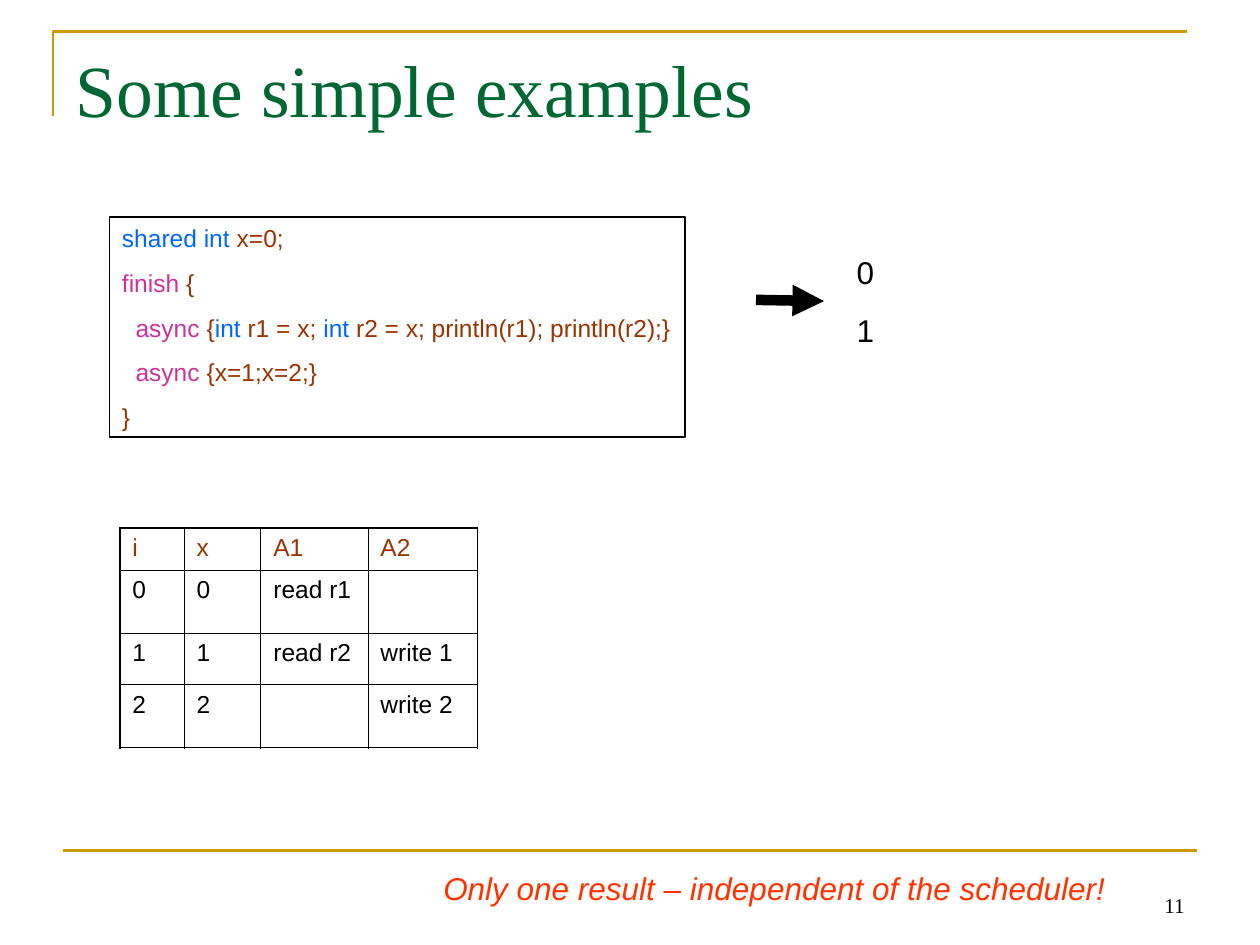
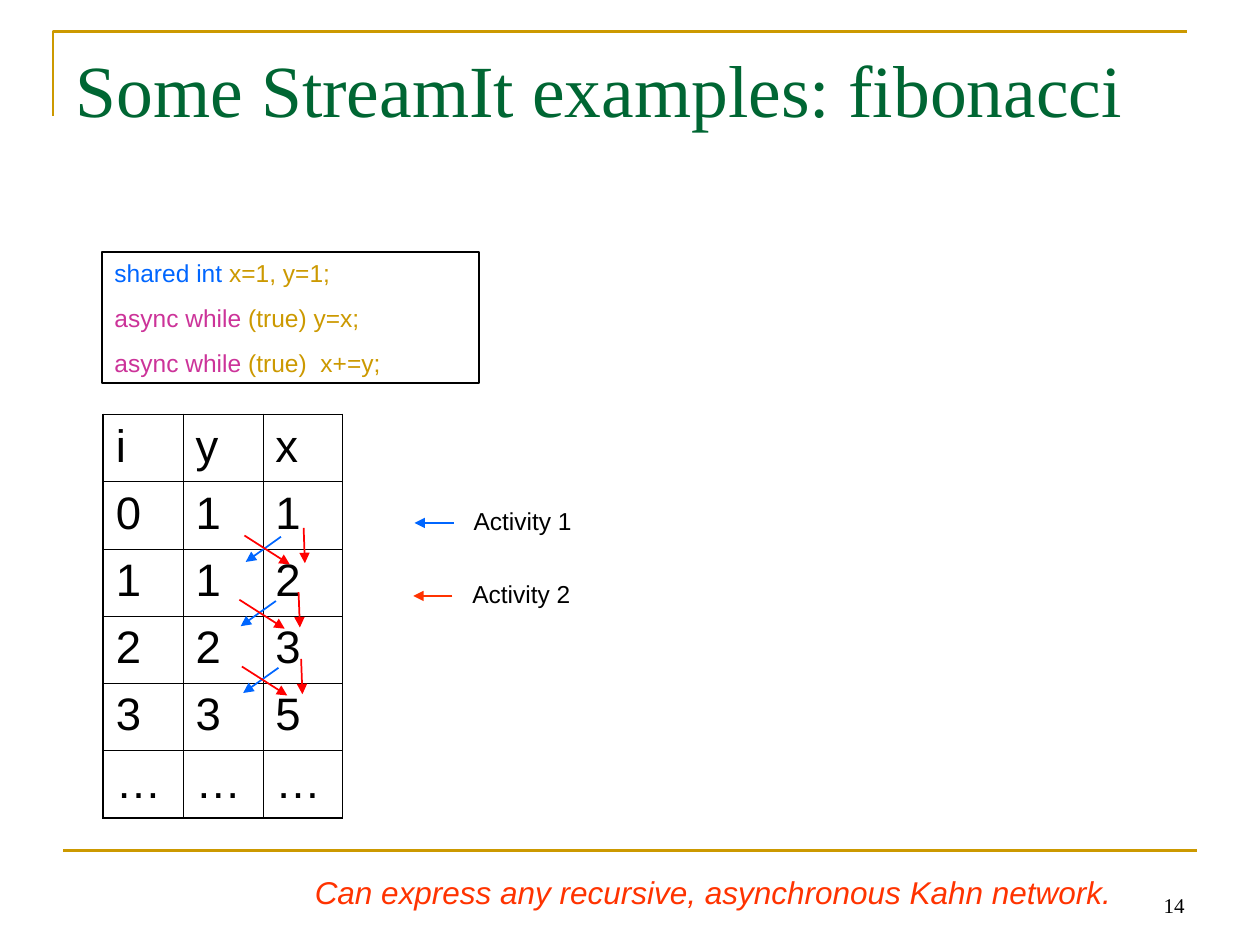
import pptx
import pptx.util
import pptx.dml.color
import pptx.enum.shapes
import pptx.enum.text
import pptx.oxml
import pptx.oxml.ns

Inches, Pt = pptx.util.Inches, pptx.util.Pt
GOLD, GREEN, BLACK = "CC9900", "006633", "000000"
BLUE, PINK, BROWN = "0066FF", "CC3399", "993300"
ORANGE, RED = "FF3300", "FF0000"
SANS, SERIF = "Arial", "Times New Roman"


def tint(code):
    return pptx.dml.color.RGBColor.from_string(code)


def write(frame, lines, size, font=SANS, gap=0):
    """Fill a text frame; each line is a list of (text, colour) runs."""
    frame.word_wrap = True
    frame.vertical_anchor = pptx.enum.text.MSO_ANCHOR.TOP
    frame.margin_left = frame.margin_right = Inches(0.1)
    frame.margin_top = frame.margin_bottom = Inches(0.05)
    for n, line in enumerate(lines):
        para = frame.add_paragraph() if n else frame.paragraphs[0]
        para.alignment = pptx.enum.text.PP_ALIGN.LEFT
        para.space_before = Pt(gap if n else 0)
        para.font.size = Pt(size)
        for text, hue in line:
            run = para.add_run()
            run.text = text
            run.font.name = font
            run.font.size = Pt(size)
            run.font.color.rgb = tint(hue)


deck = pptx.Presentation()
deck.slide_width, deck.slide_height = Inches(10), Inches(7.5)

# Content of each slide
pages = [
    {
        "title": "Some simple examples",
        "number": "11",
        "note": "Only one result – independent of the scheduler!",
        "place": (3.42, 6.85, 5.86, 0.4),
        "box": (0.87, 1.72, 4.57, 1.75),
        "code": [
            [("shared int", BLUE), (" x=0;", BROWN)],
            [("finish", PINK), (" {", BROWN)],
            [("  async", PINK), (" {", BROWN), ("int", BLUE), (" r1 = x; ", BROWN),
             ("int", BLUE), (" r2 = x; println(r1); println(r2);}", BROWN)],
            [("  async ", PINK), ("{x=1;x=2;}", BROWN)],
            [("}", BROWN)],
        ],
        "cells": [["i", "x", "A1", "A2"], ["0", "0", "read r1", ""],
                  ["1", "1", "read r2", "write 1"], ["2", "2", "", "write 2"]],
        "corner": (0.95, 4.19),
        "cols": [0.51, 0.61, 0.85, 0.87],
        "rows": [0.33, 0.5, 0.41, 0.5],
        "size": 14,
        "head": BROWN,
        "labels": [(6.7, 1.96, 1.06, 0.85, ["0", "1"], 18)],
        "arrows": [(6, 2.38, 6.54, 2.39, BLACK, 6)],
    },
    {
        "title": "Some StreamIt examples: fibonacci",
        "number": "14",
        "note": "Can express any recursive, asynchronous Kahn network.",
        "place": (2.4, 6.88, 7.04, 0.4),
        "box": (0.81, 2, 2.99, 1.04),
        "code": [
            [("shared int", BLUE), (" x=1, y=1;", GOLD)],
            [("async while", PINK), (" (true) y=x;", GOLD)],
            [("async while", PINK), (" (true)  x+=y;", GOLD)],
        ],
        "cells": ["iyx", "011", "112", "223", "335", "………"],
        "corner": (0.82, 3.29),
        "cols": [1.9 / 3] * 3,
        "rows": [3.2 / 6] * 6,
        "size": 26,
        "head": BLACK,
        "labels": [(3.66, 3.97, 1.42, 0.33, ["Activity 1"], 14),
                   (3.65, 4.55, 1.42, 0.33, ["Activity 2"], 14)],
        "arrows": [(3.6, 4.15, 3.29, 4.15, BLUE, 1),
                   (3.59, 4.73, 3.28, 4.73, ORANGE, 1)],
    },
]

# Data flow between table rows: the same three arrows at each step
for dx, dy in [(0, 0), (-0.04, 0.51), (-0.02, 1.04)]:
    for x1, y1, x2, y2, hue in [(2.23, 4.26, 1.95, 4.46, BLUE),
                                (1.94, 4.25, 2.3, 4.48, RED),
                                (2.41, 4.19, 2.42, 4.47, RED)]:
        pages[1]["arrows"].append((x1 + dx, y1 + dy, x2 + dx, y2 + dy, hue, 1))

for page in pages:
    slide = deck.slides.add_slide(deck.slide_layouts[5])
    shapes = slide.shapes

    # Gold corner rule
    pen = shapes.build_freeform(Inches(0.42), Inches(0.92))
    pen.add_line_segments([(Inches(0.42), Inches(0.25)), (Inches(9.42), Inches(0.25))],
                          close=False)
    rule = pen.convert_to_shape()
    rule.shadow.inherit = False
    rule.fill.background()
    rule.line.color.rgb = tint(GOLD)
    rule.line.width = Pt(1.5)

    # Title
    title = shapes.title
    title.left, title.top = Inches(0.5), Inches(0.3)
    title.width, title.height = Inches(9), Inches(1.25)
    write(title.text_frame, [[(page["title"], GREEN)]], 42, SERIF)

    # Code box
    box = shapes.add_shape(pptx.enum.shapes.MSO_SHAPE.RECTANGLE, *map(Inches, page["box"]))
    box.shadow.inherit = False
    box.fill.background()
    box.line.color.rgb = tint(BLACK)
    box.line.width = Pt(1)
    write(box.text_frame, page["code"], 14, gap=8.8)

    # Labels
    for x, y, w, h, words, size in page["labels"]:
        label = shapes.add_textbox(Inches(x), Inches(y), Inches(w), Inches(h))
        write(label.text_frame, [[(word, BLACK)] for word in words], size, gap=11.2)

    # Table of steps, with a thin grid and a thicker outer border
    cols, rows = page["cols"], page["rows"]
    x, y = page["corner"]
    table = shapes.add_table(len(rows), len(cols), Inches(x), Inches(y),
                             Inches(sum(cols)), Inches(sum(rows))).table
    table.first_row = table.horz_banding = False
    for c, width in enumerate(cols):
        table.columns[c].width = Inches(width)
    for r, height in enumerate(rows):
        table.rows[r].height = Inches(height)
        for c, text in enumerate(page["cells"][r]):
            cell = table.cell(r, c)
            hue = BLACK if r else page["head"]
            write(cell.text_frame, [[(text, hue)] if text else []], page["size"])
            cell.fill.background()
            outer = {"L": c == 0, "R": c == len(cols) - 1,
                     "T": r == 0, "B": r == len(rows) - 1}
            props = cell._tc.get_or_add_tcPr()
            for n, (side, thick) in enumerate(outer.items()):
                props.insert(n, pptx.oxml.parse_xml(
                    f'<a:ln{side} {pptx.oxml.ns.nsdecls("a")} w="{Pt(1.08 if thick else 0.45)}">'
                    f'<a:solidFill><a:srgbClr val="{BLACK}"/></a:solidFill></a:ln{side}>'))

    # Footer rule and arrows
    footer = (0.5, 6.75, 9.5, 6.75, GOLD, 1.5)
    for x1, y1, x2, y2, hue, weight in [footer] + page["arrows"]:
        line = shapes.add_connector(pptx.enum.shapes.MSO_CONNECTOR.STRAIGHT,
                                    Inches(x1), Inches(y1), Inches(x2), Inches(y2))
        line.line.color.rgb = tint(hue)
        line.line.width = Pt(weight)
        props = line._element.spPr
        pptx.oxml.ns.qn("a:ln")
        if hue != GOLD:
            props.find(pptx.oxml.ns.qn("a:ln")).append(pptx.oxml.parse_xml(
                f'<a:tailEnd {pptx.oxml.ns.nsdecls("a")} type="triangle"/>'))
        props.append(pptx.oxml.parse_xml(f'<a:effectLst {pptx.oxml.ns.nsdecls("a")}/>'))

    # Closing remark and slide number
    note = shapes.add_textbox(*map(Inches, page["place"]))
    write(note.text_frame, [[(page["note"], ORANGE)]], 18)
    note.text_frame.paragraphs[0].runs[0].font.italic = True
    number = shapes.add_textbox(Inches(7.17), Inches(6.83), Inches(2.33), Inches(0.5))
    write(number.text_frame, [[(page["number"], BLACK)]], 12, SERIF)
    number.text_frame.vertical_anchor = pptx.enum.text.MSO_ANCHOR.BOTTOM
    number.text_frame.paragraphs[0].alignment = pptx.enum.text.PP_ALIGN.RIGHT

deck.save("out.pptx")
